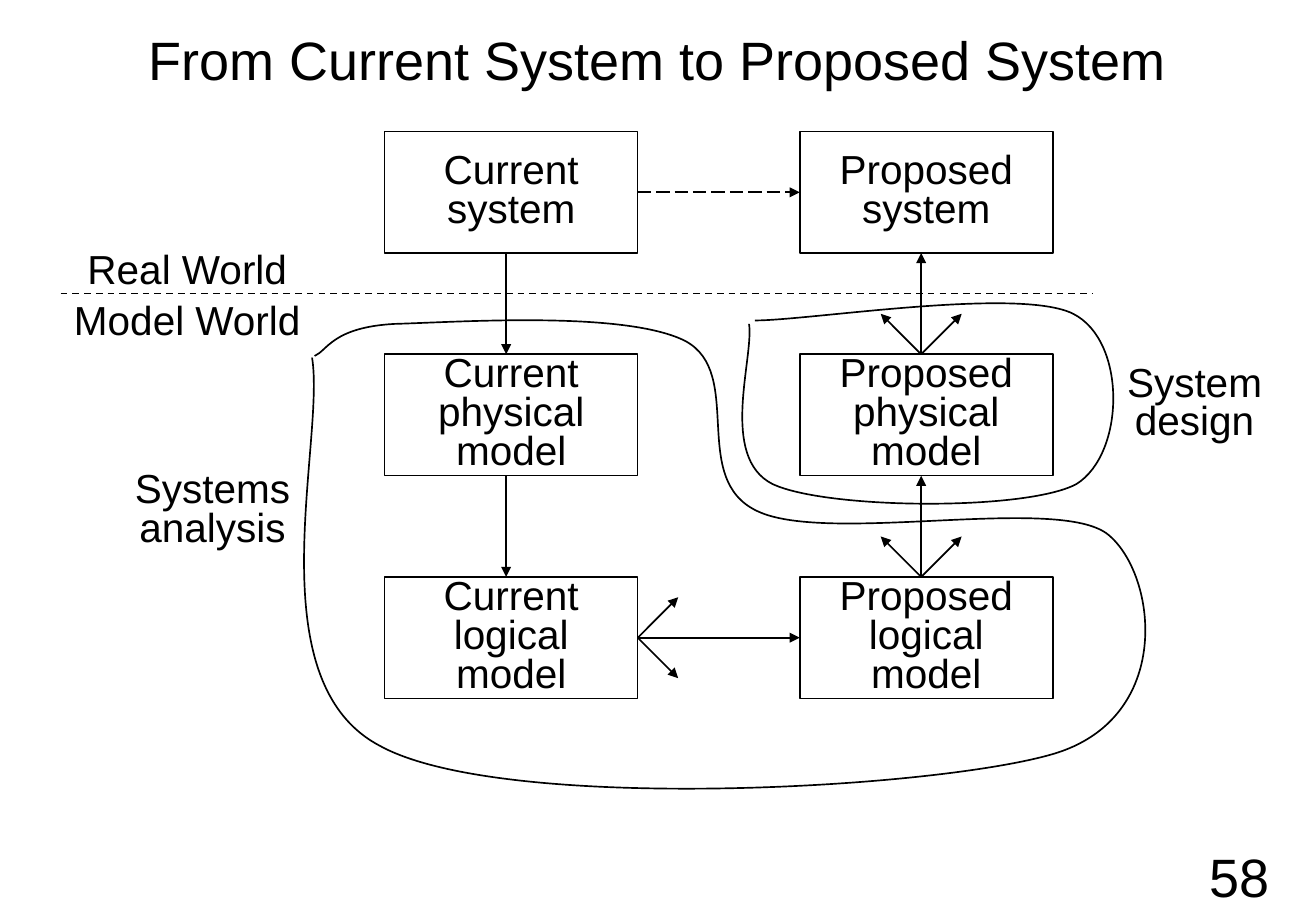
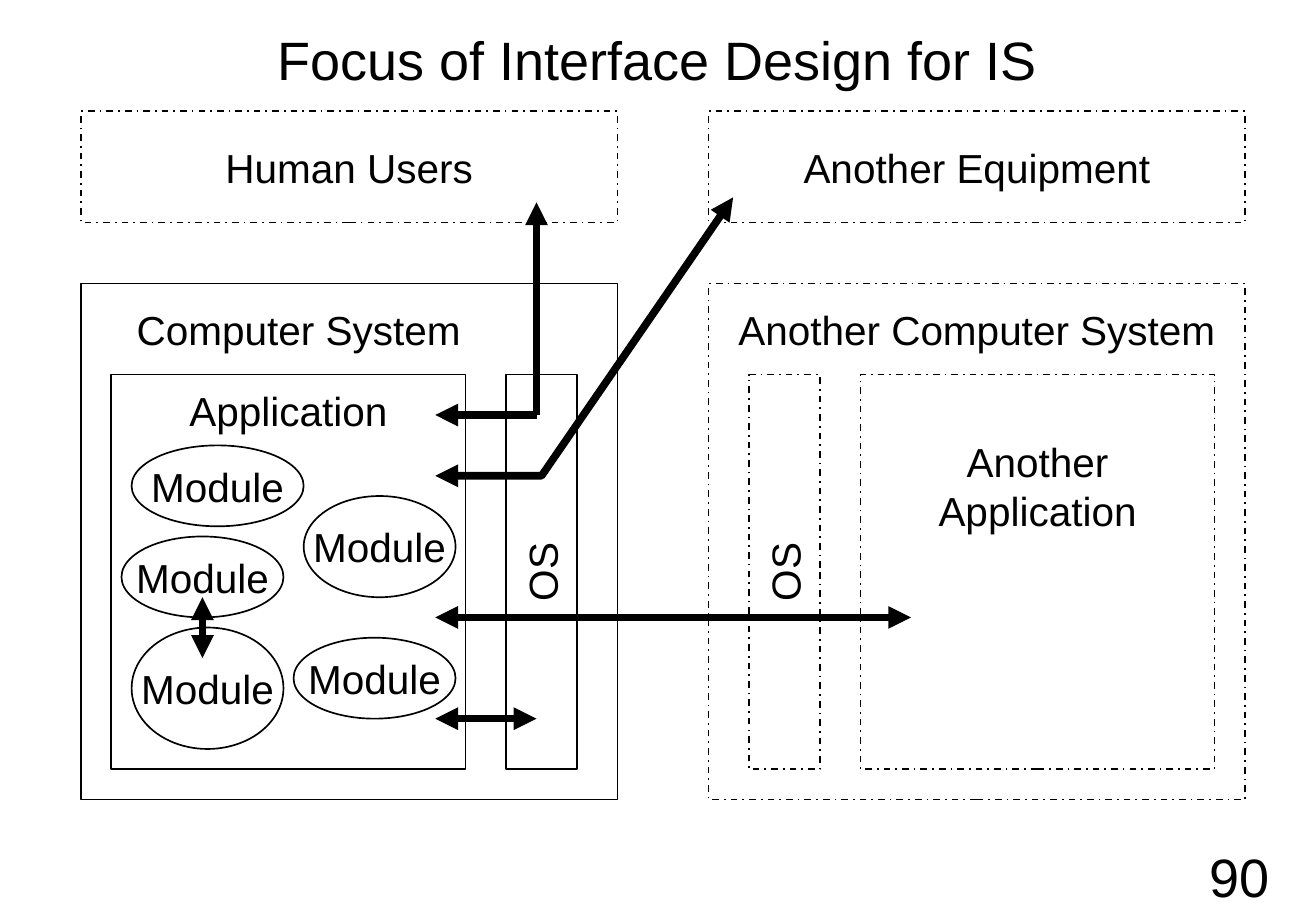
from lxml.etree import SubElement
from pptx import Presentation
from pptx.dml.color import RGBColor
from pptx.enum.dml import MSO_LINE
from pptx.enum.shapes import MSO_CONNECTOR, MSO_SHAPE
from pptx.enum.text import MSO_ANCHOR, PP_ALIGN
from pptx.oxml.ns import qn
from pptx.util import Pt

BLACK = RGBColor(0, 0, 0)
FONT = "Arial"
TITLE_SIZE, BODY_SIZE = 32, 24
THIN, THICK = 1, 4.5

# Slide 58: a grid of two columns (systems) by three rows (levels)
COLUMNS = {"Current": 228, "Proposed": 474}
ROWS = {"system": 78, "physical model": 210, "logical model": 342}
BOX_W, BOX_H, BOX_INSET = 150, 72, 12
WORLD_LABELS = [("Real World", (36, 144, 150, 30)), ("Model World", (36, 174.5, 150, 30))]
PHASE_LABELS = [("Systems analysis", (72, 288, 108, 30)), ("System design", (660, 216, 96, 48))]
FAN = 24  # reach of the short arrows that show alternatives

# Each curve: start point, then control, control, end for each segment
ANALYSIS_CURVE = [
    (186.5, 211),
    (194, 208), (197, 194), (234, 192),
    (271, 191), (370, 184), (406, 202),
    (442, 221), (408, 284), (449, 303),
    (491, 323), (628, 293), (657, 317),
    (686, 341), (696, 426), (624, 447),
    (552, 468), (297, 482), (225, 442),
    (151, 403), (193, 261), (185, 212),
]
DESIGN_CURVE = [
    (447.5, 190),
    (480, 190), (604, 170), (636, 186),
    (668, 202), (667, 269), (638, 287),
    (608, 303), (490, 302), (458, 287),
    (426, 271), (447, 212), (444, 192),
]

# Slide 90: text, place, dash, rotation
FRAMES = [
    ("Human Users", (48, 66, 318, 66), MSO_LINE.DASH_DOT, 0),
    ("Another Equipment", (420, 66, 318, 66), MSO_LINE.DASH_DOT, 0),
    ("", (48, 168, 318, 306), None, 0),
    ("", (420, 168, 318, 306), MSO_LINE.DASH_DOT, 0),
    ("", (66, 222, 210, 234), None, 0),
    ("", (510, 222, 210, 234), MSO_LINE.DASH_DOT, 0),
    ("OS", (204, 318, 234, 42), None, 270),
    ("OS", (348, 318, 234, 42), MSO_LINE.DASH_DOT, 270),
]
FRAME_LABELS = [
    ("Computer System", (72, 174, 210, 42)),
    ("Another Computer System", (420, 174, 318, 42)),
    ("Application", (66, 222, 210, 42)),
    ("Another\nApplication", (510, 240, 210, 96)),
]
MODULES = [(72, 318, 96, 48), (78, 264, 102, 48), (180, 294, 90, 60),
           (78, 372, 90, 72), (174, 378, 96, 48)]
# start, end, arrowhead at start, arrowhead at end
INTERFACES = [
    ((120, 354), (120, 390), True, True),
    ((258, 426), (318, 426), True, True),
    ((258, 366), (540, 366), True, True),
    ((318, 120), (318, 246), True, False),
    ((318, 246), (258, 246), False, True),
]
EQUIPMENT_LINK = [(258, 282), (321, 282), (434.5, 117)]


def style_line(sp, width=THIN, dash=None, head=False, tail=False):
    sp.line.color.rgb = BLACK
    sp.line.width = Pt(width)
    if dash is not None:
        sp.line.dash_style = dash
    ln = sp._element.spPr.find(qn("a:ln"))
    for tag, wanted in (("a:headEnd", head), ("a:tailEnd", tail)):
        if wanted:
            SubElement(ln, qn(tag), type="triangle")


def set_text(sp, text, size=BODY_SIZE, wrap=False, spacing=None, inset=7.2):
    tf = sp.text_frame
    tf.text = text
    tf.word_wrap = wrap
    tf.vertical_anchor = MSO_ANCHOR.MIDDLE
    tf.margin_left = tf.margin_right = Pt(inset)
    tf.margin_top = tf.margin_bottom = Pt(3.6)
    for p in tf.paragraphs:
        p.alignment = PP_ALIGN.CENTER
        p.line_spacing = spacing
        p.font.name = FONT
        p.font.size = Pt(size)
        p.font.color.rgb = BLACK


def add_label(slide, text, place, **text_options):
    sp = slide.shapes.add_textbox(*map(Pt, place))
    set_text(sp, text, **text_options)


def add_outline(slide, kind, text, place, dash=None, rotation=0, **text_options):
    sp = slide.shapes.add_shape(kind, *map(Pt, place))
    sp.rotation = rotation
    sp.shadow.inherit = False
    sp.fill.background()
    style_line(sp, dash=dash)
    if text:
        set_text(sp, text, **text_options)


def add_line(slide, start, end, **line_options):
    sp = slide.shapes.add_connector(MSO_CONNECTOR.STRAIGHT, *map(Pt, (*start, *end)))
    style_line(sp, **line_options)
    SubElement(sp._element.spPr, qn("a:effectLst"))


def add_polyline(slide, points, **line_options):
    first, *rest = [(Pt(x), Pt(y)) for x, y in points]
    builder = slide.shapes.build_freeform(*first)
    builder.add_line_segments(rest, close=False)
    sp = builder.convert_to_shape()
    sp.shadow.inherit = False
    sp.fill.background()
    style_line(sp, **line_options)
    return sp


def add_curve(slide, points):
    """Draw the points as cubic Bezier segments, three points to a segment."""
    sp = add_polyline(slide, points)
    outline = next(sp._element.iter(qn("a:path")))
    sides = outline.findall(qn("a:lnTo"))
    for i in range(0, len(sides), 3):
        segment = SubElement(outline, qn("a:cubicBezTo"))
        for side in sides[i:i + 3]:
            segment.append(side[0])
            outline.remove(side)


def add_base_slide(prs, title, number):
    slide = prs.slides.add_slide(prs.slide_layouts[6])
    add_label(slide, number, (689.5, 498, 90, 42), size=TITLE_SIZE)
    add_label(slide, title, (0, 0, 780, 70), size=TITLE_SIZE, wrap=True)
    return slide


def build_system_slide(prs):
    slide = add_base_slide(prs, "From Current System to Proposed System", "58")
    add_line(slide, (36, 174), (648, 174), dash=MSO_LINE.DASH)
    for text, place in WORLD_LABELS:
        add_label(slide, text, place, inset=0)
    for text, place in PHASE_LABELS:
        add_label(slide, text, place, wrap=True, spacing=0.8, inset=0)
    for owner, x in COLUMNS.items():
        for level, y in ROWS.items():
            add_outline(slide, MSO_SHAPE.RECTANGLE, f"{owner} {level}", (x, y, BOX_W, BOX_H),
                        wrap=True, spacing=0.8, inset=BOX_INSET)

    current_x, proposed_x = COLUMNS.values()
    tops = list(ROWS.values())
    for upper, lower in zip(tops, tops[1:]):
        down_x, up_x = current_x + 72, proposed_x + 72
        add_line(slide, (down_x, upper + BOX_H), (down_x, lower), tail=True)
        add_line(slide, (up_x, upper + BOX_H), (up_x, lower), head=True)
        for dx in (-FAN, FAN):
            add_line(slide, (up_x, lower), (up_x + dx, lower - FAN), tail=True)

    right = current_x + BOX_W
    for top, dash in ((tops[0], MSO_LINE.LONG_DASH), (tops[-1], None)):
        y = top + BOX_H / 2
        add_line(slide, (right, y), (proposed_x, y), dash=dash, tail=True)
    for dy in (-FAN, FAN):
        add_line(slide, (right, y), (right + FAN, y + dy), tail=True)
    for curve in (ANALYSIS_CURVE, DESIGN_CURVE):
        add_curve(slide, curve)


def build_interface_slide(prs):
    slide = add_base_slide(prs, "Focus of Interface Design for IS", "90")
    for text, place, dash, rotation in FRAMES:
        add_outline(slide, MSO_SHAPE.RECTANGLE, text, place, dash, rotation)
    for text, place in FRAME_LABELS:
        add_label(slide, text, place)
    for place in MODULES:
        add_outline(slide, MSO_SHAPE.OVAL, "Module", place)
    for start, end, head, tail in INTERFACES:
        add_line(slide, start, end, width=THICK, head=head, tail=tail)
    add_polyline(slide, EQUIPMENT_LINK, width=THICK, head=True, tail=True)


def main():
    prs = Presentation()
    prs.slide_width, prs.slide_height = Pt(780), Pt(540)
    build_system_slide(prs)
    build_interface_slide(prs)
    prs.save("out.pptx")


if __name__ == "__main__":
    main()
